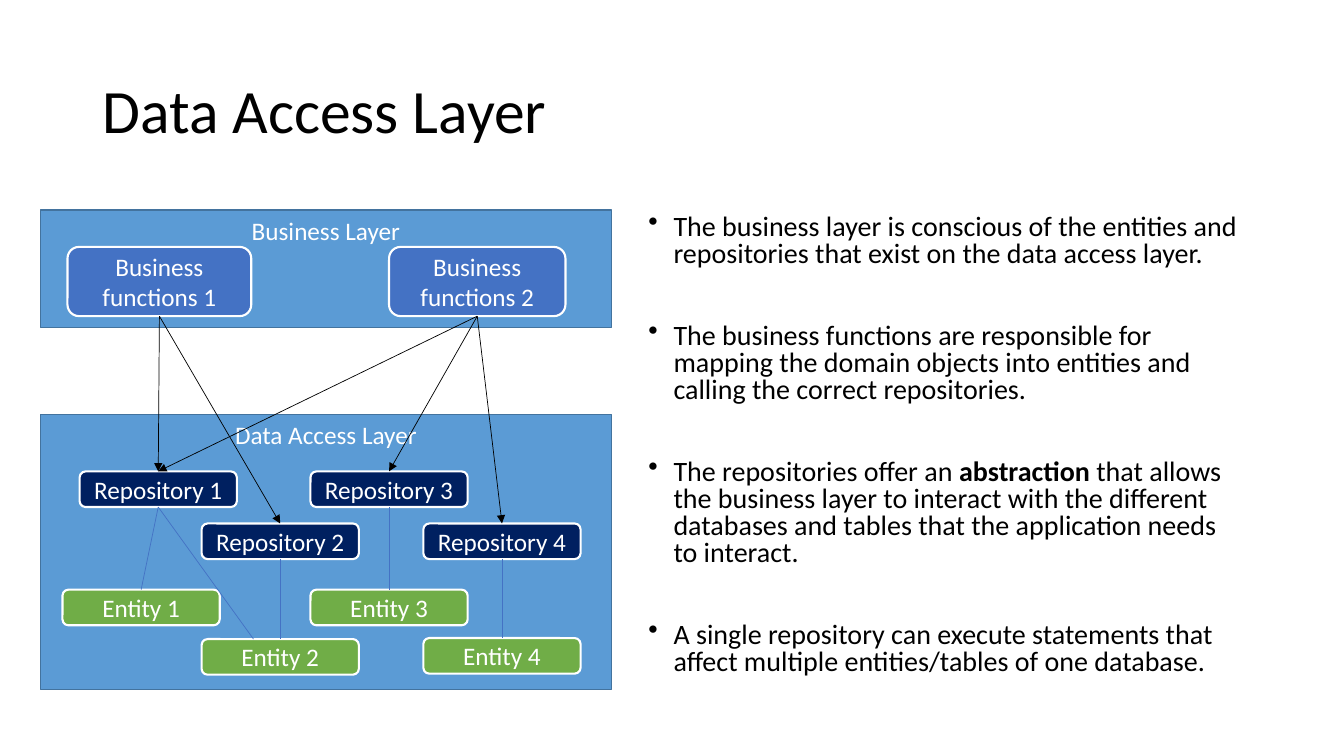
import lxml.etree
import pptx
import pptx.dml.color
import pptx.enum.shapes
import pptx.enum.text
import pptx.oxml.ns
import pptx.util

RGB = pptx.dml.color.RGBColor
SHAPE = pptx.enum.shapes.MSO_SHAPE
STRAIGHT = pptx.enum.shapes.MSO_CONNECTOR.STRAIGHT
ANCHOR = pptx.enum.text.MSO_ANCHOR
ALIGN = pptx.enum.text.PP_ALIGN
qn = pptx.oxml.ns.qn

BLACK = RGB(0x00, 0x00, 0x00)
WHITE = RGB(0xFF, 0xFF, 0xFF)
SKY = RGB(0x5B, 0x9B, 0xD5)
EDGE = RGB(0x43, 0x73, 0x9E)
BLUE = RGB(0x44, 0x72, 0xC4)
NAVY = RGB(0x00, 0x20, 0x60)
GREEN = RGB(0x70, 0xAD, 0x47)

# The slide is a grid of 80 columns by 45 rows; boxes are (left, top, width, height)
WIDE, HIGH = pptx.util.Inches(13.33), pptx.util.Inches(7.5)
COLS, ROWS = 80, 45
TITLE = (5.5, 2.4, 69, 8.7)
DIAGRAM = (2.4, 12.5, 34, 28.54)
NOTES = (38, 12.5, 36.5, 28.54)

FUNCS = [(1.62, 10.94), (20.76, 10.5)]
REPOS = [(2.34, 3.4), (9.6, 6.5), (16.08, 3.4), (22.8, 6.5)]
ENTS = [(1.32, 10.44), (9.6, 13.38), (16.08, 10.44), (22.8, 13.32)]
CALLS = [(1, 1), (2, 1), (1, 2), (2, 4), (2, 3)]
MAPS = [(1, 1), (2, 2), (3, 3), (4, 4)]

POINTS = [
    ["The business layer is conscious of the entities and repositories "
     "that exist on the data access layer."],
    ["The business functions are responsible for mapping the domain objects "
     "into entities and calling the correct repositories."],
    ["The repositories offer an ", "abstraction",
     " that allows the business layer to interact with the different "
     "databases and tables that the application needs to interact."],
    ["A single repository can execute statements that affect multiple "
     "entities/tables of one database."],
]
STRONG = "abstraction"


def place(box):
    x, y, w, h = box
    return [round(v) for v in (x * WIDE / COLS, y * HIGH / ROWS,
                               w * WIDE / COLS, h * HIGH / ROWS)]


def within(box, x, y, w, h):
    return box[0] + x, box[1] + y, w, h


def style(para, size, color):
    para.font.name = "Calibri"
    para.font.size = pptx.util.Pt(size)
    para.font.color.rgb = color


def add_text(slide, box, anchor):
    frame = slide.shapes.add_textbox(*place(box)).text_frame
    frame.word_wrap = True
    frame.vertical_anchor = anchor
    return frame


def add_box(slide, box, text, kind, fill, edge, width, anchor):
    shape = slide.shapes.add_shape(kind, *place(box))
    shape.shadow.inherit = False
    shape.fill.solid()
    shape.fill.fore_color.rgb = fill
    shape.line.color.rgb = edge
    shape.line.width = pptx.util.Pt(width)
    frame = shape.text_frame
    frame.word_wrap = True
    frame.vertical_anchor = anchor
    para = frame.paragraphs[0]
    para.text = text
    para.alignment = ALIGN.CENTER
    style(para, 18, WHITE)
    return shape


def add_panel(slide, box, text):
    add_box(slide, box, text, SHAPE.RECTANGLE, SKY, EDGE, 1, ANCHOR.TOP)


def add_node(slide, box, text, fill):
    return add_box(slide, box, text, SHAPE.ROUNDED_RECTANGLE, fill, WHITE, 1.5,
                   ANCHOR.MIDDLE)


def add_link(slide, start, end, color, arrow=False, share=0.5):
    """Run from the bottom of start to the top of end, at a share of its width."""
    x, y = end.left + round(end.width * share), end.top
    link = slide.shapes.add_connector(STRAIGHT, x, y, x, y)
    link.begin_connect(start, 2)
    if share == 0.5:
        link.end_connect(end, 0)
    link.line.color.rgb = color
    link.line.width = pptx.util.Pt(0.5)
    props = link._element.spPr
    if arrow:
        lxml.etree.SubElement(props.find(qn("a:ln")), qn("a:tailEnd"),
                              type="triangle")
    lxml.etree.SubElement(props, qn("a:effectLst"))


def add_title(slide, box):
    para = add_text(slide, box, ANCHOR.MIDDLE).paragraphs[0]
    para.text = "Data Access Layer"
    para.line_spacing = 0.9
    style(para, 44, BLACK)


def add_notes(slide, box):
    frame = add_text(slide, box, ANCHOR.TOP)
    indent = pptx.util.Inches(0.25)
    for i, parts in enumerate(POINTS):
        para = frame.add_paragraph() if i else frame.paragraphs[0]
        para.line_spacing = 0.8
        para.space_before = pptx.util.Pt(39.5 if i else 10)
        style(para, 20, BLACK)
        for part in parts:
            run = para.add_run()
            run.text = part
            if part == STRONG:
                run.font.bold = True
        # Bullet with hanging indent
        props = para._p.get_or_add_pPr()
        props.set("marL", str(indent))
        props.set("indent", str(-indent))
        bullet = lxml.etree.Element(qn("a:buChar"), char="•")
        props.find(qn("a:defRPr")).addprevious(bullet)


def add_diagram(slide, box):
    # Layers
    upper = within(box, 0, 0, box[2], 7)
    lower = within(box, 0, 12.16, box[2], box[3] - 12.16)
    add_panel(slide, lower, "Data Access Layer")
    add_panel(slide, upper, "Business Layer")

    # Nodes
    funcs = [add_node(slide, within(upper, x, 2.2, w, 4.12),
                      f"Business functions {i}", BLUE)
             for i, (x, w) in enumerate(FUNCS, 1)]
    repos, ents = [
        [add_node(slide, within(lower, x, y, 9.36, 2.12), f"{name} {i}", fill)
         for i, (x, y) in enumerate(spots, 1)]
        for name, spots, fill in (("Repository", REPOS, NAVY),
                                  ("Entity", ENTS, GREEN))]

    # Links from repositories to entities
    for r, e in MAPS:
        add_link(slide, repos[r - 1], ents[e - 1], BLUE)
    add_link(slide, repos[0], ents[1], BLUE, share=0.33)

    # Calls from business functions to repositories
    for f, r in CALLS:
        add_link(slide, funcs[f - 1], repos[r - 1], BLACK, arrow=True)


def main():
    deck = pptx.Presentation()
    deck.slide_width, deck.slide_height = WIDE, HIGH
    slide = deck.slides.add_slide(deck.slide_layouts[6])
    add_title(slide, TITLE)
    add_notes(slide, NOTES)
    add_diagram(slide, DIAGRAM)
    deck.save("out.pptx")


if __name__ == "__main__":
    main()
